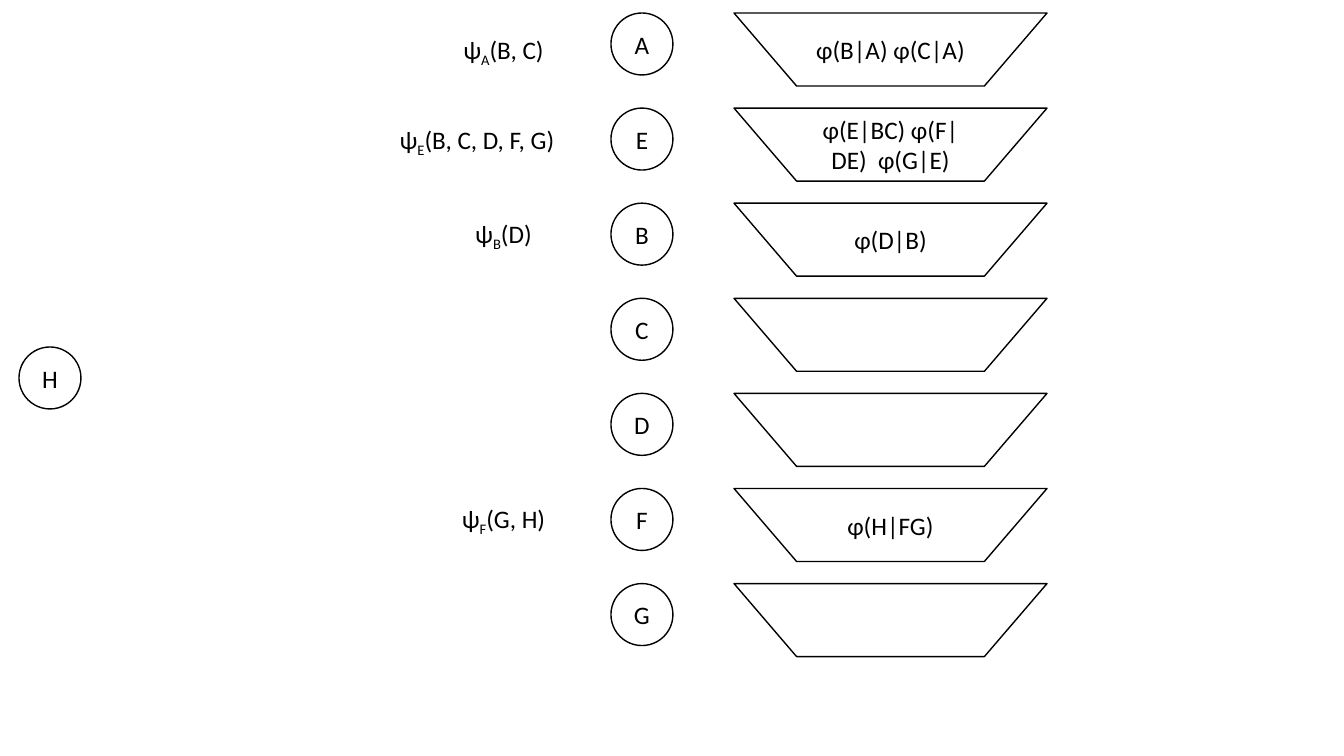
import pptx
import pptx.util
import pptx.dml.color
import pptx.enum.shapes
import pptx.enum.text

SCALE = 914400 / 100.8
COLORS = {"ink": "000000", "paper": "FFFFFF"}
KINDS = pptx.enum.shapes.MSO_SHAPE
PITCH = 95.1
NODE = 62

ROWS = [
    ("A", "φ(B|A) φ(C|A)", "(B, C)", 127, 16),
    ("E", "φ(E|BC) φ(F|DE)  φ(G|E)", "(B, C, D, F, G)", 180, 11),
    ("B", "φ(D|B)", "(D)", 127, 10),
    ("C", "", "", 0, 0),
    ("D", "", "", 0, 0),
    ("F", "φ(H|FG)", "(G, H)", 127, 10),
    ("G", "", "", 0, 0),
]


def emu(*sizes):
    return [round(size * SCALE) for size in sizes]


def color(name):
    return pptx.dml.color.RGBColor.from_string(COLORS[name])


def style(para):
    para.alignment = pptx.enum.text.PP_ALIGN.CENTER
    para.font.size = pptx.util.Pt(18)
    para.font.name = "Calibri"
    para.font.color.rgb = color("ink")


def outline(slide, kind, box, text):
    shape = slide.shapes.add_shape(kind, *emu(*box))
    shape.shadow.inherit = False
    shape.fill.solid()
    shape.fill.fore_color.rgb = color("paper")
    shape.line.color.rgb = color("ink")
    shape.line.width = pptx.util.Pt(1)
    if text:
        frame = shape.text_frame
        frame.vertical_anchor = pptx.enum.text.MSO_ANCHOR.MIDDLE
        frame.text = text
        style(frame.paragraphs[0])


def node(slide, left, top, name):
    outline(slide, KINDS.OVAL, (left, top, NODE, NODE), name)


def message(slide, box, name, scope):
    frame = slide.shapes.add_textbox(*emu(*box)).text_frame
    frame.word_wrap = True
    frame.auto_size = pptx.enum.text.MSO_AUTO_SIZE.SHAPE_TO_FIT_TEXT
    para = frame.paragraphs[0]
    style(para)
    for text in ("ψ", name, scope):
        run = para.add_run()
        run.text = text
        if text == name:
            run._r.get_or_add_rPr().set("baseline", "-25000")


def bucket(slide, left, top, row):
    name, factors, scope, width, drop = row
    node(slide, left + 224, top, name)
    outline(slide, KINDS.FLOWCHART_MANUAL_OPERATION,
            (left + 347, top, 313, 73), factors)
    if scope:
        box = (left + 180 - width, top + drop, width, 40)
        message(slide, box, name, scope)


deck = pptx.Presentation()
deck.slide_width, deck.slide_height = emu(1344, 756)
slide = deck.slides.add_slide(deck.slide_layouts[6])
for index, row in enumerate(ROWS):
    bucket(slide, 387, 13 + index * PITCH, row)
node(slide, 19, 347, "H")
deck.save("out.pptx")
